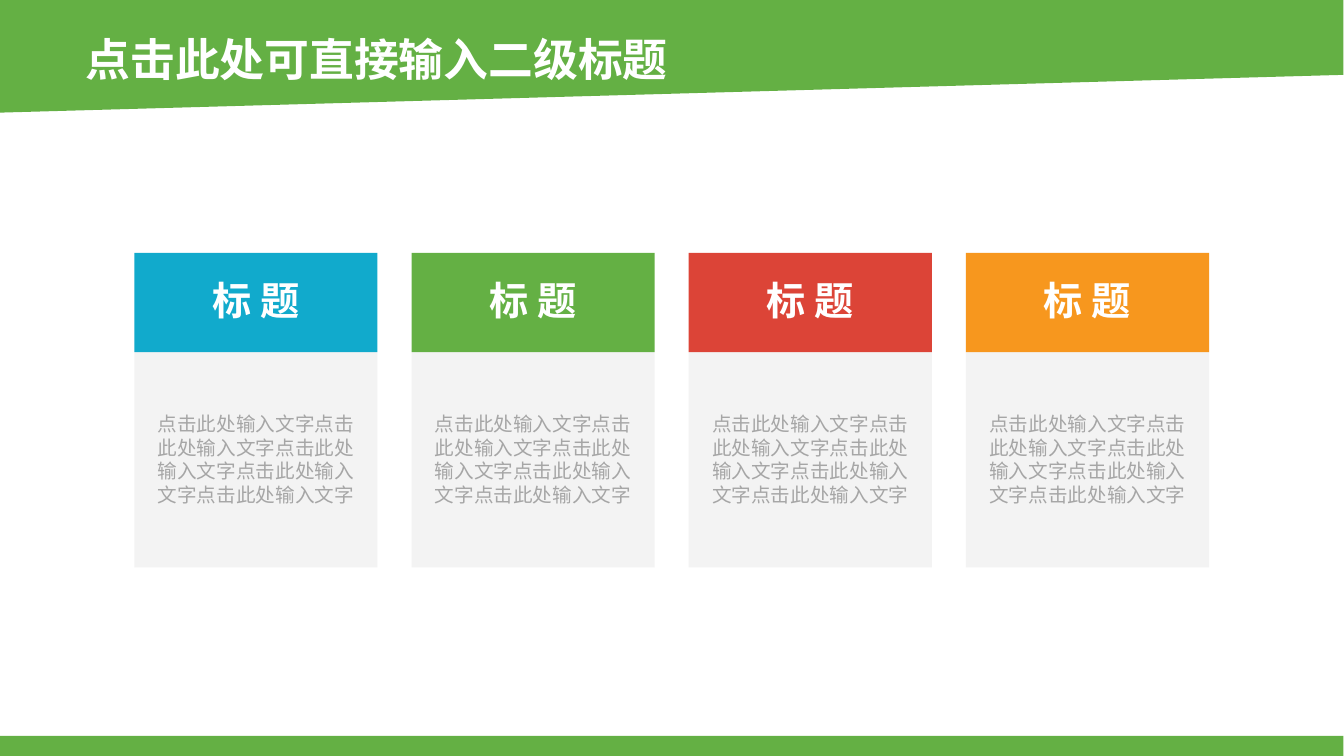
from pptx import Presentation
from pptx.dml.color import RGBColor
from pptx.enum.shapes import MSO_SHAPE
from pptx.enum.text import MSO_ANCHOR, PP_ALIGN
from pptx.oxml.ns import qn
from pptx.util import Pt
from lxml import etree

RECTANGLE = MSO_SHAPE.RECTANGLE
MIDDLE = MSO_ANCHOR.MIDDLE
LEFT, CENTER = PP_ALIGN.LEFT, PP_ALIGN.CENTER

# Content
FONT = "Times New Roman"
COLORS = {
    "blue": "11AACC", "green": "64B044", "red": "DC4437", "orange": "F7971E",
    "panel": "F2F2F2", "body": "A6A6A6", "white": "FFFFFF",
}
TITLE = "点击此处可直接输入二级标题"
BODY = "点击此处输入文字" * 5
CARDS = [("标 题", color, BODY) for color in ("blue", "green", "red", "orange")]

# Layout in points
SLIDE_WIDTH, SLIDE_HEIGHT = 960.5, 540
BAND = [(-1.2, 0), (960, 0), (960, 53.5), (-1.2, 80.5)]
FOOTER_HEIGHT = 14.4
CARD_LEFT, CARD_WIDTH, CARD_STEP = 96, 173.8, 198.1
HEADER_TOP, HEADER_HEIGHT = 180.6, 71
PANEL_TOP, PANEL_HEIGHT = HEADER_TOP + HEADER_HEIGHT, 153.6
BODY_TOP, BODY_WIDTH, BODY_HEIGHT = 291, 155.5, 75


def paint(shape, color):
    shape.shadow.inherit = False
    shape.fill.solid()
    shape.fill.fore_color.rgb = RGBColor.from_string(COLORS[color])
    shape.line.fill.background()


def add_block(left, top, width, height, color):
    block = slide.shapes.add_shape(RECTANGLE, Pt(left), Pt(top), Pt(width), Pt(height))
    paint(block, color)
    return block


def write(frame, text, size, color, alignment, bold=False):
    paragraph = frame.paragraphs[0]
    paragraph.text = text
    paragraph.alignment = alignment
    paragraph.font.name = FONT
    paragraph.font.size = Pt(size)
    paragraph.font.bold = bold
    paragraph.font.color.rgb = RGBColor.from_string(COLORS[color])
    return paragraph


def add_text(left, top, width, height, text, size, color, alignment, bold=False):
    box = slide.shapes.add_textbox(Pt(left), Pt(top), Pt(width), Pt(height))
    box.text_frame.word_wrap = True
    write(box.text_frame, text, size, color, alignment, bold)


presentation = Presentation()
presentation.slide_width = Pt(SLIDE_WIDTH)
presentation.slide_height = Pt(SLIDE_HEIGHT)
slide = presentation.slides.add_slide(presentation.slide_layouts[6])

# Slanted top band, bottom bar and slide title
corners = [(Pt(x), Pt(y)) for x, y in BAND]
builder = slide.shapes.build_freeform(*corners[0])
builder.add_line_segments(corners[1:], close=True)
paint(builder.convert_to_shape(), "green")
add_block(0, SLIDE_HEIGHT - FOOTER_HEIGHT, 960, FOOTER_HEIGHT, "green")
add_text(54, 19.4, 440, 46, TITLE, 32, "white", LEFT, bold=True)

# Cards: translucent panel, body text, coloured header
for index, (heading, color, body) in enumerate(CARDS):
    left = CARD_LEFT + index * CARD_STEP
    panel = add_block(left, PANEL_TOP, CARD_WIDTH, PANEL_HEIGHT, "panel")
    panel_color = panel.fill._xPr.find(".//" + qn("a:srgbClr"))
    etree.SubElement(panel_color, qn("a:alpha"), val="90000")

    body_left = left + (CARD_WIDTH - BODY_WIDTH) / 2
    add_text(body_left, BODY_TOP, BODY_WIDTH, BODY_HEIGHT, body, 14, "body", CENTER)

    header = add_block(left, HEADER_TOP, CARD_WIDTH, HEADER_HEIGHT, color)
    frame = header.text_frame
    frame.vertical_anchor = MIDDLE
    frame.margin_left = frame.margin_right = Pt(20)
    frame.margin_top = frame.margin_bottom = Pt(11.5)
    paragraph = write(frame, heading, 28, "white", CENTER, bold=True)
    paragraph.line_spacing = 0.9
    paragraph.space_after = Pt(12.2)

presentation.save("out.pptx")
